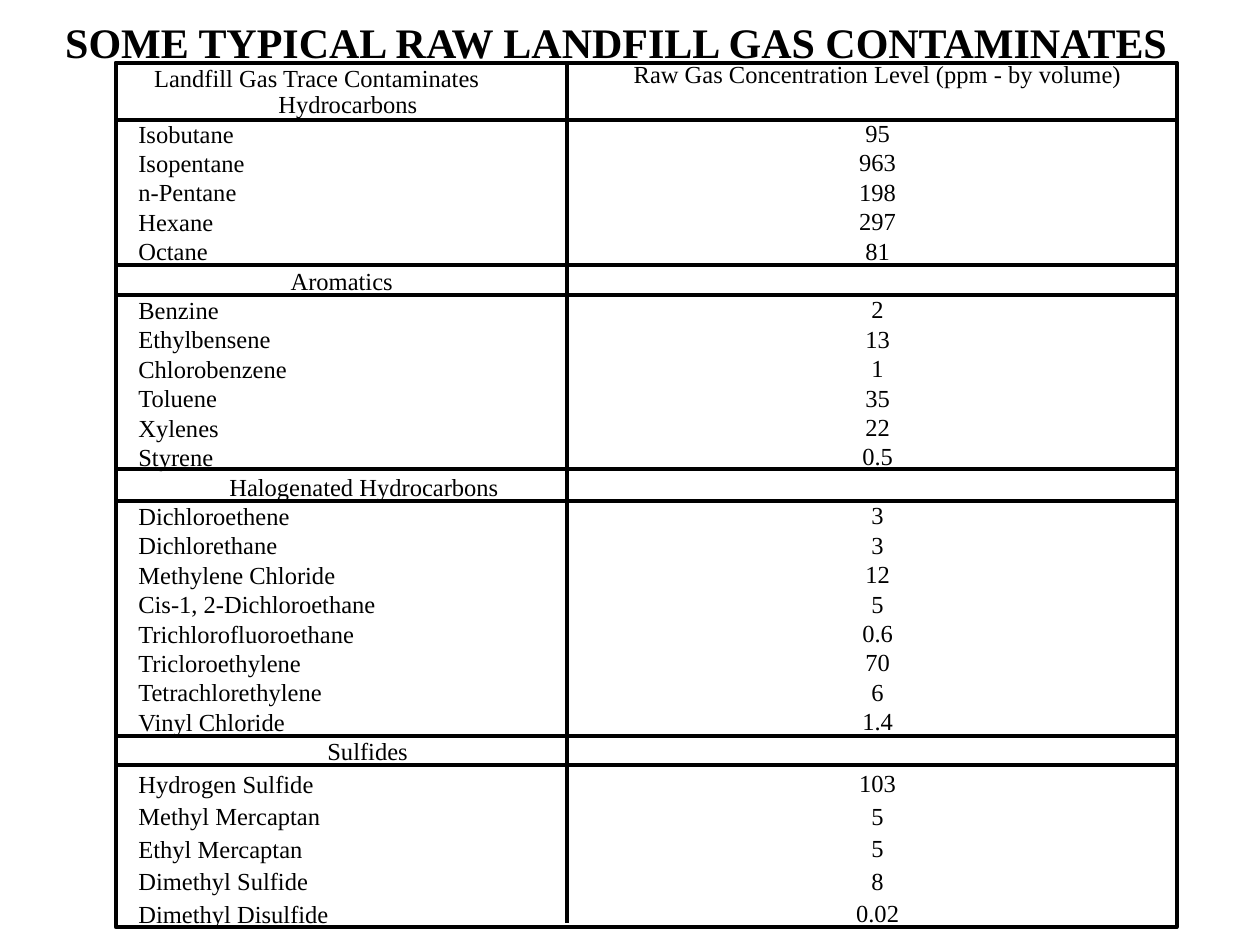
from dataclasses import dataclass

import pptx
import pptx.dml.color
import pptx.enum.shapes
import pptx.enum.text
import pptx.util
from lxml import etree
from pptx.oxml.ns import qn

Pt = pptx.util.Pt


@dataclass(frozen=True)
class Theme:
    ink: str = "000000"
    font: str = "Times New Roman"
    title_size: float = 24
    body_size: float = 14
    rule_width: float = 2.25
    pitch: float = 16.83
    loose_pitch: float = 18.57


THEME = Theme()
TITLE = "SOME TYPICAL RAW LANDFILL GAS CONTAMINATES"
VALUE_HEADING = "Raw Gas Concentration Level (ppm - by volume)"

# Each heading line is (text, indent, line pitch).
GROUPS = [
    ([("Landfill Gas Trace Contaminates", 9, 7.4), ("Hydrocarbons", 80, 15)],
     THEME.pitch,
     [("Isobutane", "95"), ("Isopentane", "963"), ("n-Pentane", "198"),
      ("Hexane", "297"), ("Octane", "81")]),
    ([("Aromatics", 87, THEME.pitch)], THEME.pitch,
     [("Benzine", "2"), ("Ethylbensene", "13"), ("Chlorobenzene", "1"),
      ("Toluene", "35"), ("Xylenes", "22"), ("Styrene", "0.5")]),
    ([("Halogenated Hydrocarbons", 52, THEME.pitch)], THEME.pitch,
     [("Dichloroethene", "3"), ("Dichlorethane", "3"),
      ("Methylene Chloride", "12"), ("Cis-1, 2-Dichloroethane", "5"),
      ("Trichlorofluoroethane", "0.6"), ("Tricloroethylene", "70"),
      ("Tetrachlorethylene", "6"), ("Vinyl Chloride", "1.4")]),
    ([("Sulfides", 108, THEME.pitch)], THEME.loose_pitch,
     [("Hydrogen Sulfide", "103"), ("Methyl Mercaptan", "5"),
      ("Ethyl Mercaptan", "5"), ("Dimethyl Sulfide", "8"),
      ("Dimethyl Disulfide", "0.02")]),
]


def ink_color():
    return pptx.dml.color.RGBColor.from_string(THEME.ink)


def add_text_frame(slide, left, top, width, height, wrap):
    box = slide.shapes.add_textbox(Pt(left), Pt(top), Pt(width), Pt(height))
    box.text_frame.word_wrap = wrap
    return box.text_frame


def add_line(frame, text, size, pitch=None, bold=False):
    """Write one line, using the frame's first paragraph while it is empty."""
    paragraph = frame.paragraphs[0]
    if paragraph.runs:
        paragraph = frame.add_paragraph()
    if pitch:
        paragraph.line_spacing = Pt(pitch)
    run = paragraph.add_run()
    run.text = text
    run.font.name = THEME.font
    run.font.size = Pt(size)
    run.font.bold = bold
    run.font.color.rgb = ink_color()
    return paragraph


def add_title(slide, left, top, width, height):
    frame = add_text_frame(slide, left, top, width, height, wrap=False)
    add_line(frame, TITLE, THEME.title_size, bold=True)


def add_name_column(slide, left, top, width, height):
    frame = add_text_frame(slide, left, top, width, height, wrap=True)
    for headings, pitch, compounds in GROUPS:
        for text, indent, heading_pitch in headings:
            paragraph = add_line(frame, text, THEME.body_size, heading_pitch)
            paragraph._p.get_or_add_pPr().set("marL", str(Pt(indent)))
        for name, _ in compounds:
            add_line(frame, name, THEME.body_size, pitch)


def add_value_column(slide, left, top, width, height):
    """Centre the values, leaving one line free beside each group heading."""
    frame = add_text_frame(slide, left, top, width, height, wrap=False)
    center = pptx.enum.text.PP_ALIGN.CENTER
    add_line(frame, VALUE_HEADING, THEME.body_size, THEME.pitch).alignment = center
    for _, pitch, compounds in GROUPS:
        for index, (_, value) in enumerate(compounds):
            paragraph = add_line(frame, value, THEME.body_size, pitch)
            paragraph.alignment = center
            if index == 0:
                paragraph.space_before = Pt(THEME.pitch)


def add_outline(slide, left, top, width, height):
    shape = slide.shapes.add_shape(
        pptx.enum.shapes.MSO_SHAPE.RECTANGLE,
        Pt(left), Pt(top), Pt(width), Pt(height))
    shape.shadow.inherit = False
    shape.fill.background()
    shape.line.color.rgb = ink_color()
    shape.line.width = Pt(THEME.rule_width)


def add_grid(slide, left, top, width, height):
    """Draw the frame, the heading bands and the divider between columns."""
    add_outline(slide, left, top, width, height)
    for band_offset, band_height in [(115.2, 17.3), (231.8, 18.7), (384.5, 16.6)]:
        add_outline(slide, left, top + band_offset, width, band_height)
    divider_x = Pt(left + 257.8)
    divider = slide.shapes.add_connector(
        pptx.enum.shapes.MSO_CONNECTOR.STRAIGHT,
        divider_x, Pt(top), divider_x, Pt(top + height - 2.2))
    divider.line.color.rgb = ink_color()
    divider.line.width = Pt(THEME.rule_width)
    etree.SubElement(divider._element.spPr, qn("a:effectLst"))
    add_outline(slide, left, top, width, 32.4)


def main():
    presentation = pptx.Presentation()
    presentation.slide_width = Pt(720)
    presentation.slide_height = Pt(540)
    slide = presentation.slides.add_slide(presentation.slide_layouts[6])
    add_title(slide, 30.2, 5.8, 653.8, 36)
    add_name_column(slide, 72, 41.8, 300.2, 491.8)
    add_value_column(slide, 355, 30.2, 293, 509.8)
    add_grid(slide, 66.2, 36, 606.2, 493.9)
    presentation.save("out.pptx")


if __name__ == "__main__":
    main()
